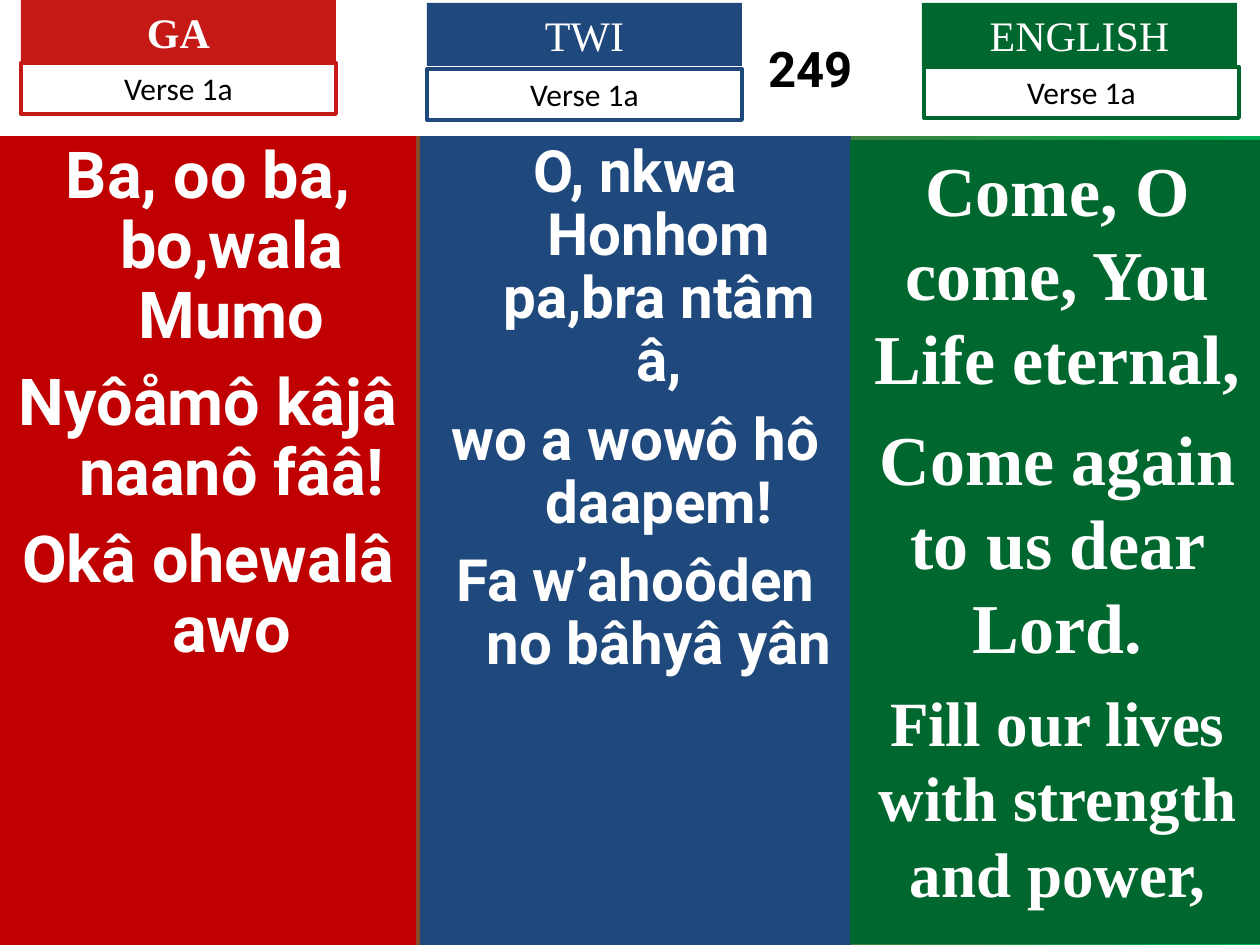
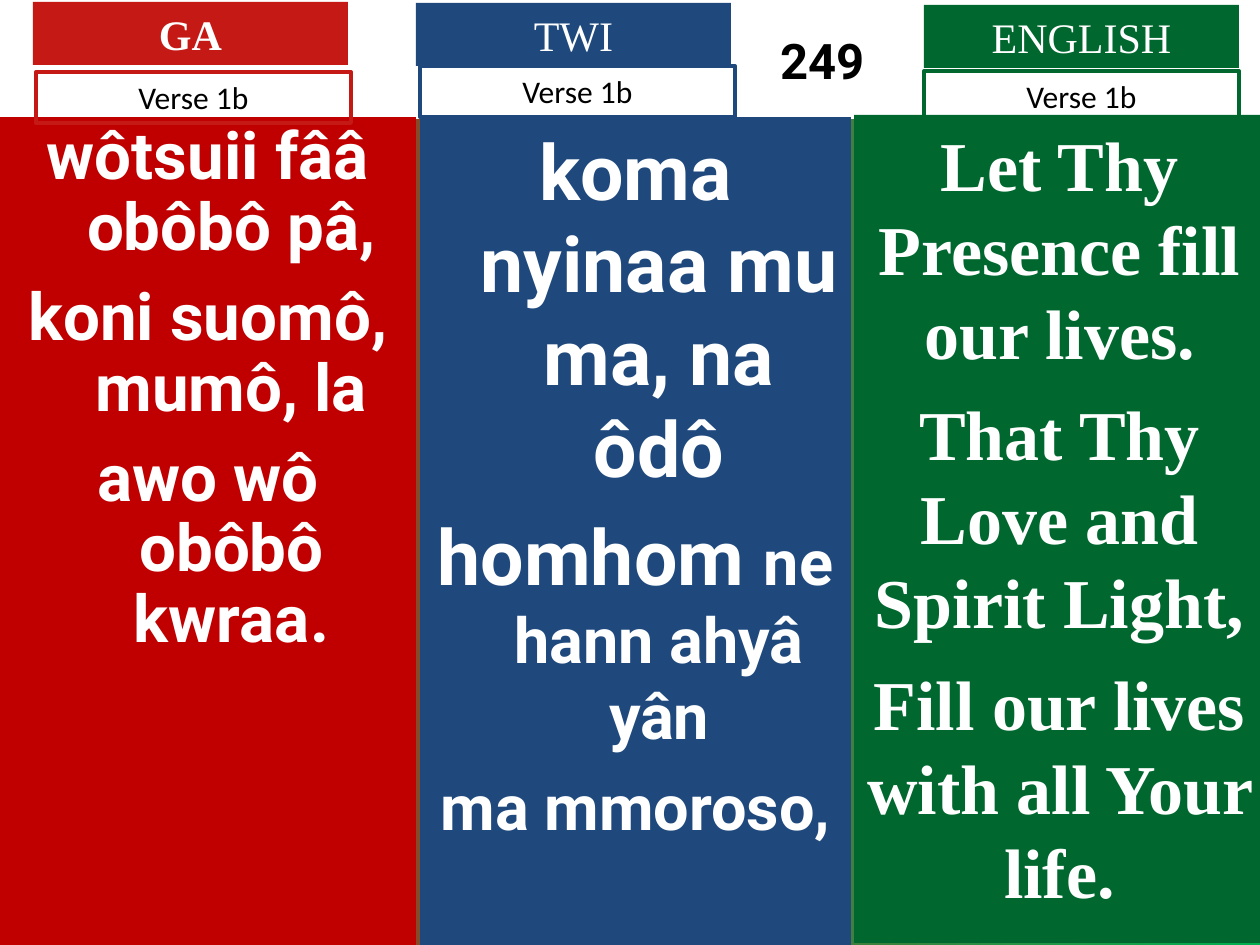
from dataclasses import dataclass

from lxml import etree
from pptx import Presentation
from pptx import util as u
from pptx.dml.color import RGBColor
from pptx.enum import shapes, text
from pptx.oxml import ns

EMU_PER_PX = 914400 / 126
TWO_CONTENT = 3
HYMN_NUMBER = "249"
COLORS = {
    "white": "FFFFFF",
    "black": "000000",
    "ga": "C51915",
    "ga_panel": "C00000",
    "twi": "1F497D",
    "english": "00682F",
    "backdrop_end": "00B050",
}
ROBOTO, TIMES, CALIBRI = "Roboto", "Times New Roman", "Calibri"


@dataclass(frozen=True)
class Box:
    x: int
    y: int
    w: int
    h: int


@dataclass(frozen=True)
class Language:
    label: str
    color: str
    panel_color: str
    font: str
    bold_label: bool = False
    hanging: bool = True


@dataclass(frozen=True)
class Phrase:
    words: str
    size: float


@dataclass(frozen=True)
class Line:
    phrases: tuple[Phrase, ...]
    before: int


@dataclass(frozen=True)
class Column:
    language: Language
    panel: Box
    label_at: tuple[int, int]
    verse_at: tuple[int, int]
    lines: tuple[Line, ...]
    spacing: float = 1.0


@dataclass(frozen=True)
class Verse:
    name: str
    band_height: int
    number_inset: int
    columns: tuple[Column, ...]


GA = Language("GA", "ga", "ga_panel", ROBOTO, bold_label=True)
TWI = Language("TWI", "twi", "twi", ROBOTO)
ENGLISH = Language("ENGLISH", "english", "english", TIMES, hanging=False)


def lines(size: float, before: int, *sentences: str) -> tuple[Line, ...]:
    return tuple(Line((Phrase(words, size),), before) for words in sentences)


VERSES = (
    Verse("Verse 1a", 136, 362, (
        Column(GA, Box(0, 136, 416, 809), (21, 0), (21, 63),
               lines(37, 10, "Ba, oo ba, bo,wala Mumo", "Nyôåmô kâjâ naanô fââ!",
                     "Okâ ohewalâ awo"), 0.9),
        Column(TWI, Box(420, 136, 431, 809), (427, 3), (427, 69),
               lines(33.3, 9, "O, nkwa Honhom pa,bra ntâm â,", "wo a wowô hô daapem!",
                     "Fa w’ahoôden no bâhyâ yân"), 0.9),
        Column(ENGLISH, Box(850, 140, 415, 804), (922, 3), (924, 67),
               lines(40, 10, "Come, O come, You Life eternal,", "Come again to us dear Lord.")
               + lines(36, 9, "Fill our lives with strength and power,")),
    )),
    Verse("Verse 1b", 119, 386, (
        Column(GA, Box(0, 117, 416, 828), (33, 2), (36, 72),
               lines(37.4, 11, "wôtsuii fââ obôbô pâ,", "koni suomô, mumô, la",
                     "awo wô obôbô kwraa."), 0.9),
        Column(TWI, Box(420, 117, 431, 828), (416, 3), (420, 66),
               lines(44, 11, "koma nyinaa mu ma, na ôdô")
               + (Line((Phrase("homhom ", 44), Phrase("ne hann ahyâ yân", 36)), 9),)
               + lines(36, 9, "ma mmoroso,")),
        Column(ENGLISH, Box(854, 115, 411, 828), (924, 5), (924, 71),
               lines(40, 10, "Let Thy Presence fill our lives.",
                     "That Thy Love and Spirit Light,",
                     "Fill our lives with all Your life.")),
    )),
)


def px(length: int) -> u.Emu:
    return u.Emu(round(length * EMU_PER_PX))


def rgb(name: str) -> RGBColor:
    return RGBColor.from_string(COLORS[name])


def write(paragraph, words: str, *, font: str, size: float,
          color: str = "white", bold: bool = False) -> None:
    paragraph.alignment = text.PP_ALIGN.CENTER
    run = paragraph.add_run()
    run.text = words
    run.font.name = font
    run.font.size = u.Pt(size)
    run.font.bold = bold
    run.font.color.rgb = rgb(color)


def place(shape, box: Box, fill: str | None = None) -> None:
    shape.left, shape.top = px(box.x), px(box.y)
    shape.width, shape.height = px(box.w), px(box.h)
    if fill:
        shape.fill.solid()
        shape.fill.fore_color.rgb = rgb(fill)
    shape.text_frame.word_wrap = True
    shape.text_frame.auto_size = text.MSO_AUTO_SIZE.NONE


def add_box(slide, box: Box, fill: str | None = None, outline: str | None = None):
    shape = slide.shapes.add_shape(
        shapes.MSO_SHAPE.RECTANGLE, px(box.x), px(box.y), px(box.w), px(box.h))
    shape.shadow.inherit = False
    shape.fill.background()
    shape.line.fill.background()
    place(shape, box, fill)
    if outline:
        shape.line.color.rgb = rgb(outline)
        shape.line.width = u.Pt(2.25)
    shape.text_frame.vertical_anchor = text.MSO_ANCHOR.TOP
    return shape


def fill_lyrics(panel, column: Column) -> None:
    frame = panel.text_frame
    for index, line in enumerate(column.lines):
        paragraph = frame.add_paragraph() if index else frame.paragraphs[0]
        if column.language.hanging:
            etree.SubElement(paragraph._p.get_or_add_pPr(), ns.qn("a:buNone"))
        paragraph.line_spacing = column.spacing
        paragraph.space_before = u.Pt(line.before if index else 0)
        for phrase in line.phrases:
            write(paragraph, phrase.words, font=column.language.font,
                  size=phrase.size, bold=True)


def add_heading(slide, column: Column, verse_name: str) -> None:
    language = column.language
    label = add_box(slide, Box(*column.label_at, 315, 63), fill=language.color)
    write(label.text_frame.paragraphs[0], language.label, font=TIMES, size=24,
          bold=language.bold_label)
    verse_box = add_box(slide, Box(*column.verse_at, 315, 51), outline=language.color)
    write(verse_box.text_frame.paragraphs[0], verse_name, font=CALIBRI, size=18,
          color="black")


def add_verse(deck, verse: Verse) -> None:
    slide = deck.slides.add_slide(deck.slide_layouts[TWO_CONTENT])
    title, *lyric_bodies = slide.placeholders
    place(title, Box(0, 0, 1260, verse.band_height), "white")
    title.text_frame.margin_left = px(verse.number_inset)
    title.text_frame.margin_right = 0
    title.text_frame.vertical_anchor = text.MSO_ANCHOR.MIDDLE
    write(title.text_frame.paragraphs[0], HYMN_NUMBER, font=ROBOTO, size=28,
          color="black", bold=True)
    bodies = iter(lyric_bodies)
    for column in verse.columns:
        fill = column.language.panel_color
        if column.language.hanging:
            panel = next(bodies)
            place(panel, column.panel, fill)
        else:
            panel = add_box(slide, column.panel, fill)
        fill_lyrics(panel, column)
    for column in verse.columns:
        add_heading(slide, column, verse.name)


def paint_backdrop(deck) -> None:
    backdrop = deck.slide_master.background.fill
    backdrop.gradient()
    backdrop.gradient_angle = 0
    for stop, position, color in zip(backdrop.gradient_stops, (0, 1), ("ga", "backdrop_end")):
        stop.position = position
        stop.color.rgb = rgb(color)


def main() -> None:
    deck = Presentation()
    deck.slide_width, deck.slide_height = px(1260), px(945)
    paint_backdrop(deck)
    for verse in VERSES:
        add_verse(deck, verse)
    deck.save("out.pptx")


if __name__ == "__main__":
    main()
